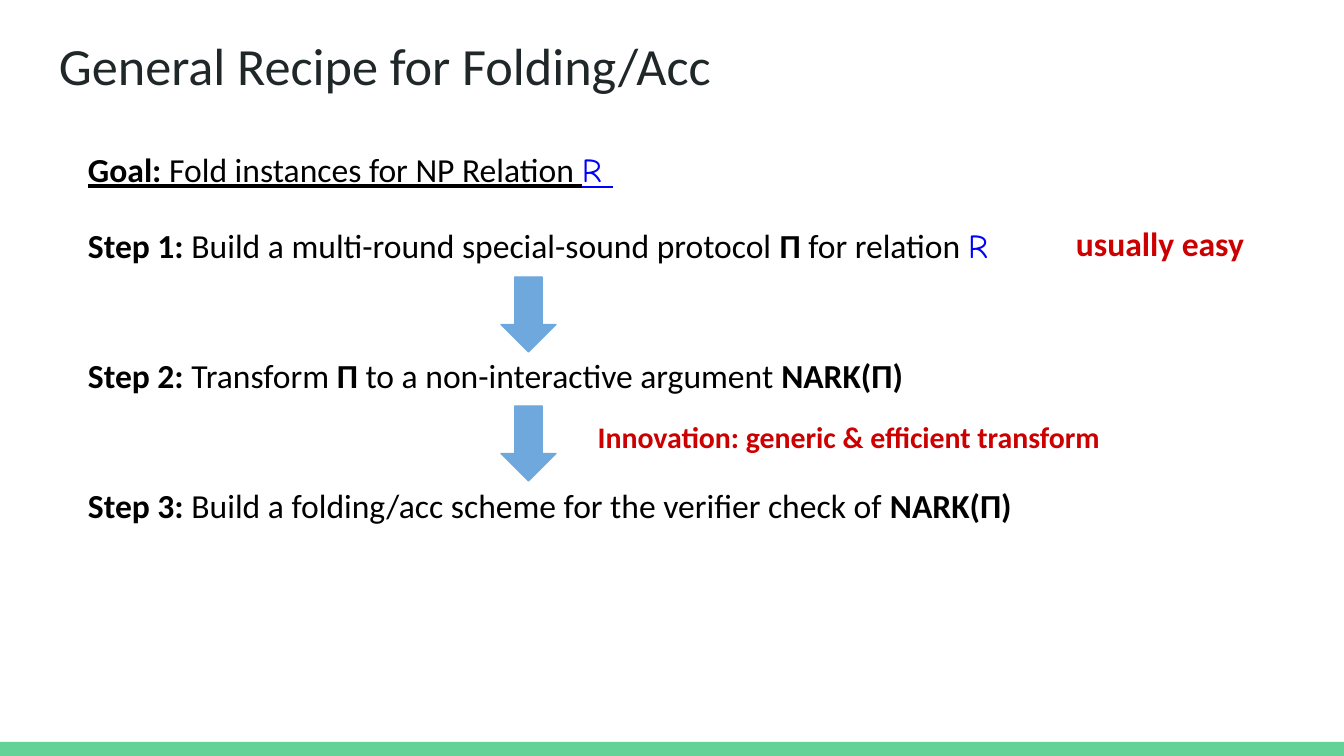
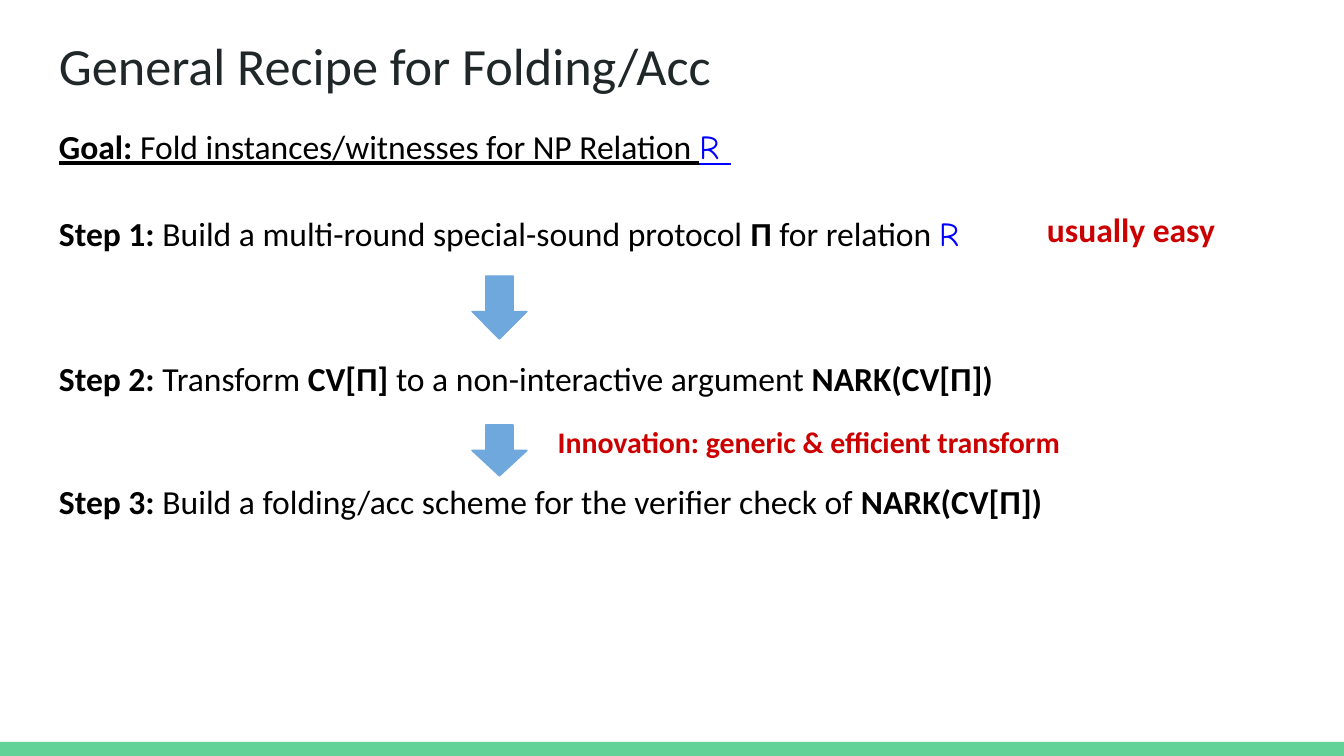
from pptx import Presentation
from pptx.dml.color import RGBColor
from pptx.enum.shapes import MSO_SHAPE as Shape
from pptx.enum.text import MSO_ANCHOR as Anchor, MSO_AUTO_SIZE as AutoSize, PP_ALIGN as Align
from pptx.util import Emu, Pt

SLIDE_W, SLIDE_H = 1344, 756
SCALE = 9144000 / SLIDE_W
INSET = 13
BODY_FONT, RELATION_FONT = "Calibri", "Comic Neue"
BLACK, TITLE_INK, RED, BLUE = "000000", "202729", "CC0000", "0000FF"
GREEN, ARROW_BLUE = "63D297", "6FA8DC"


def px(length):
    """Turn whole pixels into EMU."""
    return Emu(round(length * SCALE))


def rgb(code):
    """Turn a hex string into a colour."""
    return RGBColor.from_string(code)


def add_run(paragraph, text, size=18, color=BLACK, bold=False, underline=False, face=BODY_FONT):
    """Append one formatted run."""
    run = paragraph.add_run()
    run.text = text
    font = run.font
    font.name, font.size, font.bold = face, Pt(size), bold
    font.underline = underline
    font.color.rgb = rgb(color)


def set_frame(frame, autosize):
    """Give a text frame the shared insets, wrapping and anchor."""
    frame.word_wrap = True
    frame.auto_size = autosize
    frame.vertical_anchor = Anchor.TOP
    frame.margin_left = frame.margin_right = px(INSET)
    frame.margin_top = frame.margin_bottom = px(INSET)


def add_preset(slide, preset, left, top, width, height, color, outlined=False):
    """Add a flat preset shape in one colour."""
    shape = slide.shapes.add_shape(preset, px(left), px(top), px(width), px(height))
    shape.shadow.inherit = False
    shape.fill.solid()
    shape.fill.fore_color.rgb = rgb(color)
    if outlined:
        shape.line.color.rgb = rgb(color)
        shape.line.width = Pt(0.75)
    else:
        shape.line.fill.background()


def add_text(slide, left, top, width, height=67, align=Align.LEFT):
    """Add a text box and return its first paragraph."""
    box = slide.shapes.add_textbox(px(left), px(top), px(width), px(height))
    set_frame(box.text_frame, AutoSize.SHAPE_TO_FIT_TEXT)
    paragraph = box.text_frame.paragraphs[0]
    paragraph.alignment = align
    return paragraph


def add_goal(slide, left, top, width, subject):
    """Add the underlined goal line."""
    goal = add_text(slide, left, top, width)
    add_run(goal, "Goal: ", bold=True, underline=True)
    add_run(goal, f"Fold {subject} for NP Relation ", underline=True)
    add_run(goal, "R ", color=BLUE, underline=True, face=RELATION_FONT)


def add_step(slide, number, left, top, width, parts):
    """Add a step whose parts alternate between regular and bold."""
    step = add_text(slide, left, top, width)
    add_run(step, f"Step {number}: ", bold=True)
    for index, part in enumerate(parts):
        add_run(step, part, bold=index % 2 == 1)
    return step


def add_remark(slide, left, top, width, height, text, size, align=Align.LEFT):
    """Add a bold red remark."""
    add_run(add_text(slide, left, top, width, height, align), text, size, RED, bold=True)


def add_recipe_slide(prs, left, goal, protocol, step_tops, last_width, arrows, easy_top, innovation):
    """Build one recipe slide from its left edge and row positions."""
    slide = prs.slides.add_slide(prs.slide_layouts[5])
    add_preset(slide, Shape.RECTANGLE, 0, 742, SLIDE_W, 14, GREEN)

    title = slide.shapes.title
    title.left, title.top, title.width, title.height = px(46), px(20), px(1252), px(85)
    set_frame(title.text_frame, AutoSize.NONE)
    heading = title.text_frame.paragraphs[0]
    heading.alignment = Align.LEFT
    add_run(heading, "General Recipe for Folding/Acc", 28, TITLE_INK)

    goal_top, goal_width, subject = goal
    add_goal(slide, left, goal_top, goal_width, subject)

    argument = f"NARK({protocol})"
    steps = [
        (1044, ["Build a multi-round special-sound protocol ", "Π ", "for relation "]),
        (1044, ["Transform ", f"{protocol} ", "to a non-interactive argument ", argument]),
        (last_width, ["Build a folding/acc scheme for the verifier check of ", argument]),
    ]
    lines = [
        add_step(slide, number, left, top, width, parts)
        for number, (top, (width, parts)) in enumerate(zip(step_tops, steps), 1)
    ]
    add_run(lines[0], "R", color=BLUE, face=RELATION_FONT)

    for top, height in arrows:
        add_preset(slide, Shape.DOWN_ARROW, left + 426, top, 55, height, ARROW_BLUE, outlined=True)

    add_remark(slide, left + 988, easy_top, 216, 67, "usually easy", 18)
    add_remark(slide, *innovation, 620, 63, "Innovation: generic & efficient transform", 16, Align.CENTER)


def main():
    """Build and save the deck."""
    prs = Presentation()
    prs.slide_width, prs.slide_height = px(SLIDE_W), px(SLIDE_H)
    add_recipe_slide(
        prs, left=75, goal=(136, 657, "instances"), protocol="Π",
        step_tops=[212 + 130 * row for row in range(3)], last_width=1044,
        arrows=[(277, 75), (406, 75)], easy_top=210, innovation=(539, 406),
    )
    add_recipe_slide(
        prs, left=46, goal=(113, 790, "instances/witnesses"), protocol="CV[Π]",
        step_tops=[200, 345, 468], last_width=1144,
        arrows=[(276, 63), (425, 51)], easy_top=196, innovation=(499, 411),
    )
    prs.save("out.pptx")


if __name__ == "__main__":
    main()
